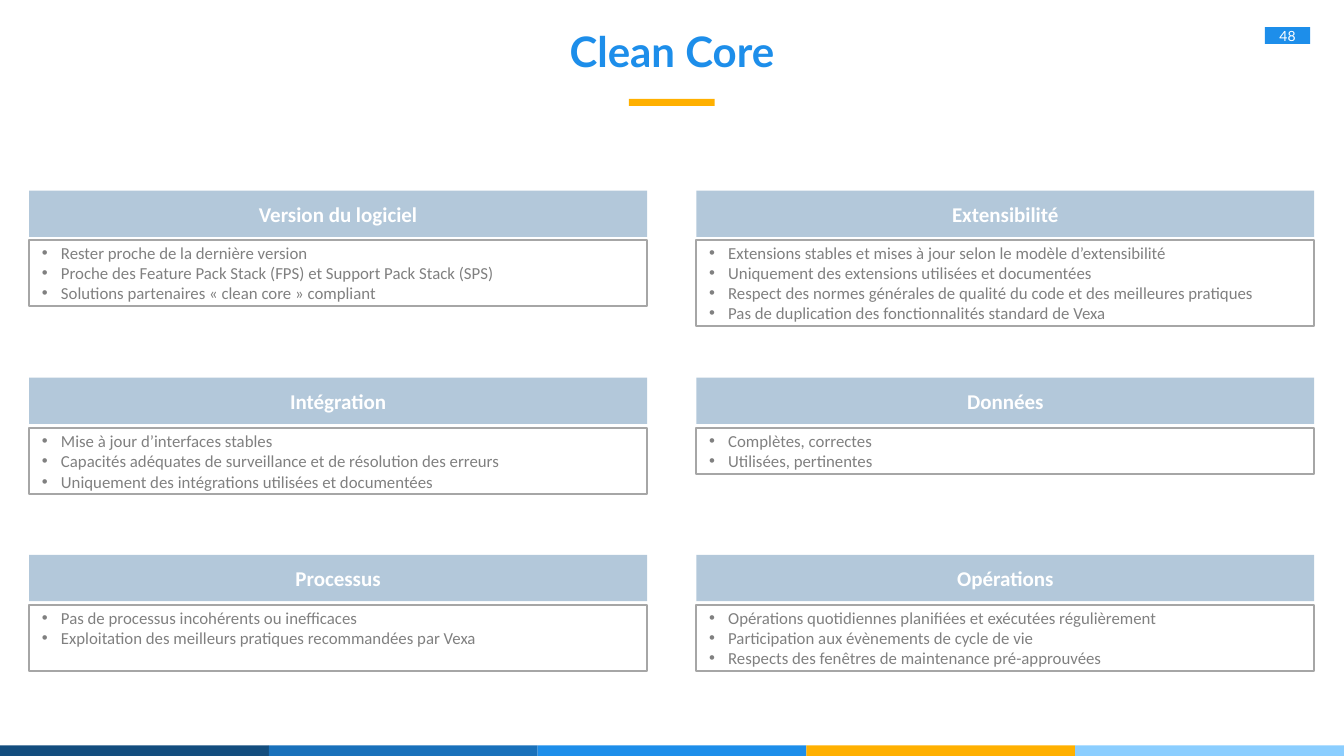
from lxml.etree import SubElement
from pptx import Presentation
from pptx.dml.color import RGBColor
from pptx.enum.shapes import MSO_SHAPE
from pptx.enum.text import MSO_ANCHOR, PP_ALIGN
from pptx.oxml.ns import qn
from pptx.util import Inches, Pt

SLIDE_WIDTH, SLIDE_HEIGHT = 26.67, 15
STRIPE_COLORS = ["134D7E", "1971BB", "1D8EEA", "FFB000", "8BCEFF"]
COLUMN_LEFTS = [0.58, 13.82]
CARD_WIDTH = 12.26
HEADER_HEIGHT = 0.92
LINE_HEIGHT = 0.4

ROWS = [
    (3.78, 4.76, [
        ("Version du logiciel", 3, [
            "Rester proche de la dernière version",
            "Proche des Feature Pack Stack (FPS) et Support Pack Stack (SPS)",
            "Solutions partenaires « clean core » compliant",
        ]),
        ("Extensibilité", 4, [
            "Extensions stables et mises à jour selon le modèle d’extensibilité",
            "Uniquement des extensions utilisées et documentées",
            "Respect des normes générales de qualité du code et des meilleures pratiques",
            "Pas de duplication des fonctionnalités standard de Vexa",
        ]),
    ]),
    (7.49, 8.5, [
        ("Intégration", 3, [
            "Mise à jour d’interfaces stables",
            "Capacités adéquates de surveillance et de résolution des erreurs",
            "Uniquement des intégrations utilisées et documentées",
        ]),
        ("Données", 2, [
            "Complètes, correctes",
            "Utilisées, pertinentes",
        ]),
    ]),
    (11.01, 12, [
        ("Processus", 3, [
            "Pas de processus incohérents ou inefficaces",
            "Exploitation des meilleurs pratiques recommandées par Vexa",
        ]),
        ("Opérations", 3, [
            "Opérations quotidiennes planifiées et exécutées régulièrement",
            "Participation aux évènements de cycle de vie",
            "Respects des fenêtres de maintenance pré-approuvées",
        ]),
    ]),
]


def rgb(value):
    """Turn a hex string into a colour."""
    return RGBColor.from_string(value)


def add_rectangle(page, left, top, width, height, fill, alpha=None):
    """Add a flat rectangle without outline, optionally see-through."""
    box = page.shapes.add_shape(MSO_SHAPE.RECTANGLE, Inches(left), Inches(top),
                                Inches(width), Inches(height))
    box.shadow.inherit = False
    box.fill.solid()
    box.fill.fore_color.rgb = rgb(fill)
    box.line.fill.background()
    if alpha is not None:
        color = box.fill._xPr.find(qn("a:solidFill")).find(qn("a:srgbClr"))
        SubElement(color, qn("a:alpha")).set("val", str(alpha * 1000))
    return box


def set_frame(box, anchor, horizontal=0, vertical=0):
    """Set wrapping, anchor and insets, and return the text frame."""
    frame = box.text_frame
    frame.word_wrap = True
    frame.vertical_anchor = anchor
    frame.margin_left = frame.margin_right = Inches(horizontal)
    frame.margin_top = frame.margin_bottom = Inches(vertical)
    return frame


def add_span(paragraph, text, size, font, color, bold=False):
    """Add one formatted run."""
    span = paragraph.add_run()
    span.text = text
    span.font.size = Pt(size)
    span.font.name = font
    span.font.bold = bold
    span.font.color.rgb = rgb(color)


def add_centred_text(box, text, size, font, color, bold=False):
    """Write one line in the middle of a box."""
    paragraph = set_frame(box, MSO_ANCHOR.MIDDLE).paragraphs[0]
    paragraph.alignment = PP_ALIGN.CENTER
    add_span(paragraph, text, size, font, color, bold)


def set_bullet(paragraph):
    """Give a paragraph a hanging round bullet."""
    properties = paragraph._p.get_or_add_pPr()
    properties.set("marL", str(Inches(0.43)))
    properties.set("indent", str(Inches(-0.38)))
    SubElement(properties, qn("a:buFont")).set("typeface", "Arial")
    SubElement(properties, qn("a:buChar")).set("char", "•")


def add_card(page, left, header_top, body_top, heading, lines, items):
    """Add a bullet box sized by its line count, and its heading bar."""
    body = add_rectangle(page, left, body_top, CARD_WIDTH,
                         0.11 + LINE_HEIGHT * lines, "FFFFFF")
    body.line.color.rgb = rgb("A6A6A6")
    body.line.width = Pt(2.75)
    frame = set_frame(body, MSO_ANCHOR.TOP, 0.2, 0.05)
    for index, item in enumerate(items):
        paragraph = frame.add_paragraph() if index else frame.paragraphs[0]
        paragraph.alignment = PP_ALIGN.JUSTIFY
        set_bullet(paragraph)
        add_span(paragraph, item, 24, "Calibri", "808080")
    header = add_rectangle(page, left, header_top, CARD_WIDTH, HEADER_HEIGHT,
                           "13558C", 32)
    add_centred_text(header, heading, 30, "Calibri", "FFFFFF", True)


def add_frame_elements(page):
    """Add the bottom stripes, title, underline and page number."""
    stripe_width = SLIDE_WIDTH / len(STRIPE_COLORS)
    for index, color in enumerate(STRIPE_COLORS):
        add_rectangle(page, index * stripe_width, 14.79, stripe_width, 0.21, color)
    add_rectangle(page, 12.48, 1.96, 1.7, 0.14, "FFB000")
    number = add_rectangle(page, 25.1, 0.54, 0.9, 0.33, "1D8EEA")
    add_centred_text(number, "48", 20, "Lato", "FFFFFF")
    title = page.shapes.add_textbox(0, 0, Inches(SLIDE_WIDTH), Inches(2.03))
    add_centred_text(title, "Clean Core", 60, "Lato", "1D8EEA", True)


def main():
    """Build and save the slide."""
    deck = Presentation()
    deck.slide_width = Inches(SLIDE_WIDTH)
    deck.slide_height = Inches(SLIDE_HEIGHT)
    page = deck.slides.add_slide(deck.slide_layouts[6])
    add_frame_elements(page)
    for header_top, body_top, cards in ROWS:
        for left, card in zip(COLUMN_LEFTS, cards):
            add_card(page, left, header_top, body_top, *card)
    deck.save("out.pptx")


if __name__ == "__main__":
    main()
